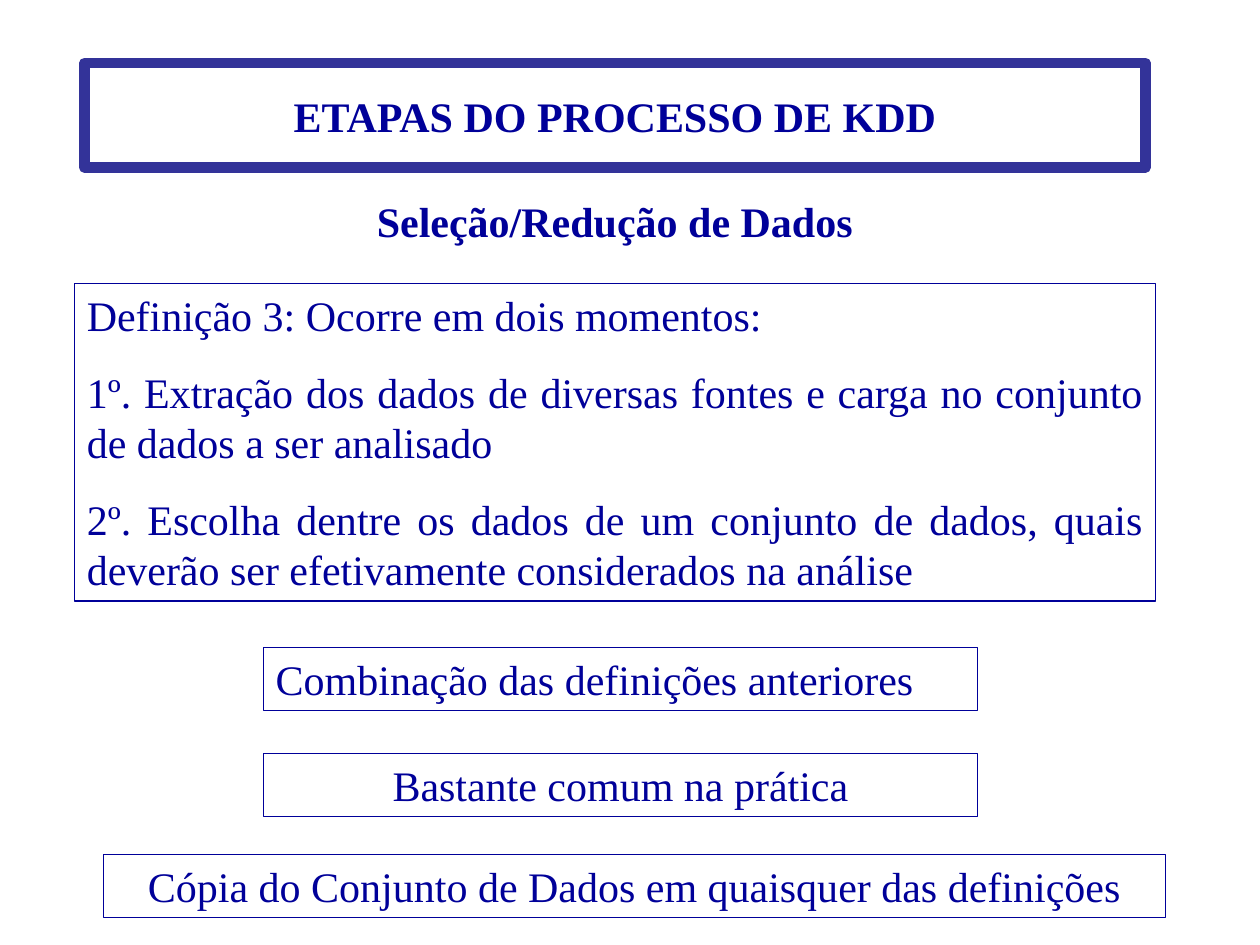
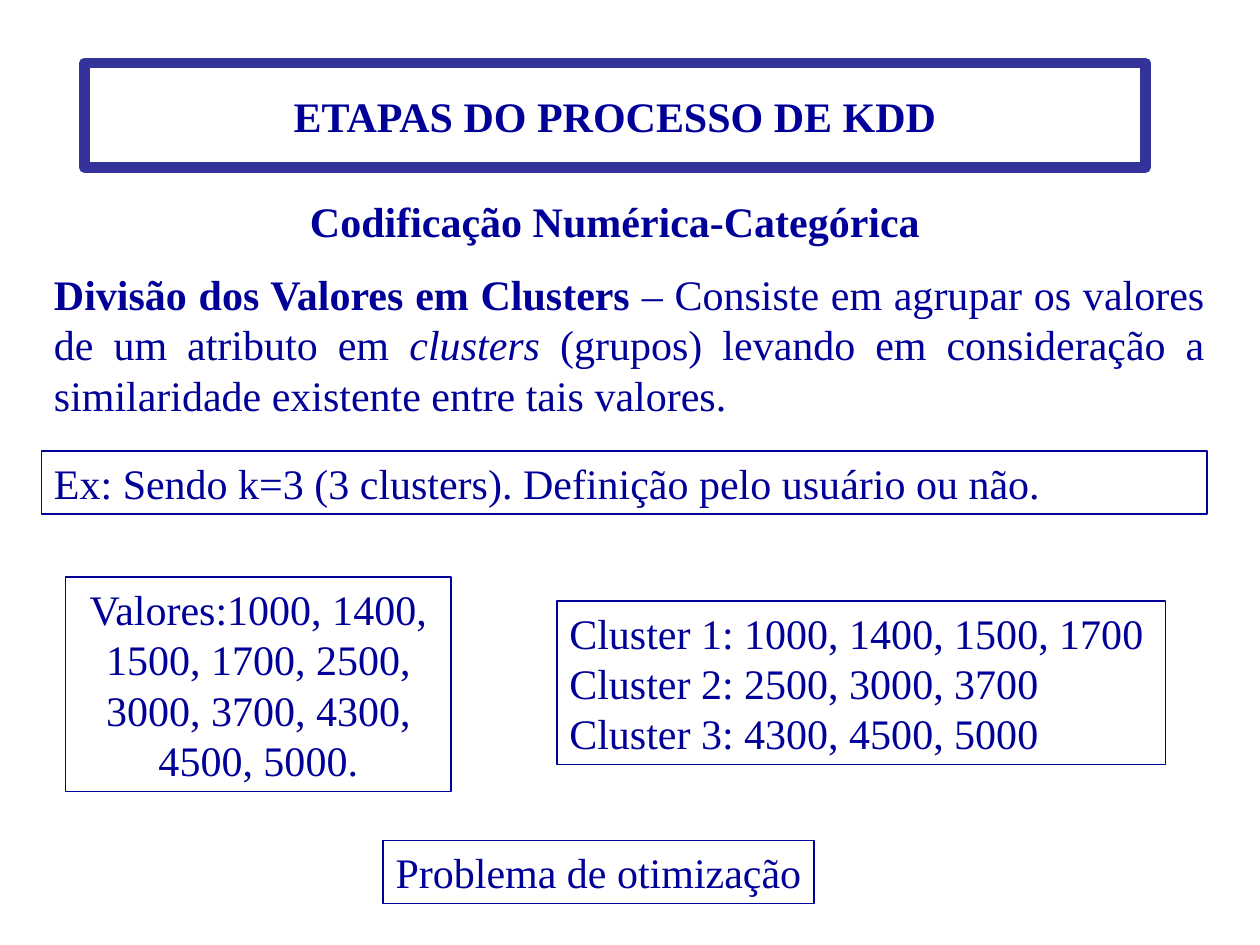
from pptx import Presentation
from pptx import util as u
from pptx.dml.color import RGBColor
from pptx.enum import shapes, text

NAVY = RGBColor(0x00, 0x00, 0x99)
FRAME_BLUE = RGBColor(0x33, 0x33, 0x99)
WHITE = RGBColor(0xFF, 0xFF, 0xFF)
FONT = "Times New Roman"
FONT_SIZE = u.Pt(24)
PARAGRAPH_GAP = u.Pt(15)
THIN, THICK = u.Pt(0.75), u.Pt(6)
LEFT = text.PP_ALIGN.LEFT
CENTER = text.PP_ALIGN.CENTER
JUSTIFY = text.PP_ALIGN.JUSTIFY
TITLE_LEFT, TITLE_WIDTH = 0.67, 8.42


def write_text(shape, content, alignment, bold=False, gap=0):
    """Write the paragraphs of a shape in the common text style."""
    frame = shape.text_frame
    frame.word_wrap = True
    frame.auto_size = text.MSO_AUTO_SIZE.SHAPE_TO_FIT_TEXT
    frame.vertical_anchor = text.MSO_ANCHOR.TOP
    frame.text = content
    for index, paragraph in enumerate(frame.paragraphs):
        paragraph.alignment = alignment
        if index and gap:
            paragraph.space_before = gap
        for run in paragraph.runs:
            run.font.name = FONT
            run.font.size = FONT_SIZE
            run.font.bold = bold
            run.font.color.rgb = NAVY
    return frame


def add_box(slide, bounds, color=NAVY, width=THIN):
    """Add an unfilled rectangle with an outline."""
    shape = slide.shapes.add_shape(
        shapes.MSO_SHAPE.RECTANGLE, *map(u.Inches, bounds))
    shape.shadow.inherit = False
    shape.fill.background()
    shape.line.color.rgb = color
    shape.line.width = width
    return shape


presentation = Presentation()
presentation.slide_width = u.Inches(10)
presentation.slide_height = u.Inches(7.5)

# Shared slide head: framed title and subtitle
slides = []
for subtitle in ("Seleção/Redução de Dados", "Codificação Numérica-Categórica"):
    slide = presentation.slides.add_slide(presentation.slide_layouts[6])
    slide.background.fill.solid()
    slide.background.fill.fore_color.rgb = WHITE

    title_box = add_box(slide, (TITLE_LEFT, 0.5, TITLE_WIDTH, 0.83), FRAME_BLUE, THICK)
    title_frame = write_text(title_box, "ETAPAS DO PROCESSO DE KDD", CENTER, bold=True)
    title_frame.auto_size = text.MSO_AUTO_SIZE.NONE
    title_frame.vertical_anchor = text.MSO_ANCHOR.MIDDLE

    subtitle_box = slide.shapes.add_textbox(
        *map(u.Inches, (TITLE_LEFT, 1.5, TITLE_WIDTH, 0.5)))
    write_text(subtitle_box, subtitle, CENTER, bold=True)
    slides.append(slide)

selection_slide, coding_slide = slides

# Slide 1: definition and remarks
definition = "\n".join((
    "Definição 3: Ocorre em dois momentos:",
    "1º. Extração dos dados de diversas fontes e carga no conjunto "
    "de dados a ser analisado",
    "2º. Escolha dentre os dados de um conjunto de dados, quais "
    "deverão ser efetivamente considerados na análise",
))
selection_boxes = (
    ((0.59, 2.25, 8.58, 2.52), definition, JUSTIFY),
    ((2.09, 5.14, 5.67, 0.5), "Combinação das definições anteriores", JUSTIFY),
    ((2.09, 5.98, 5.67, 0.5), "Bastante comum na prática", CENTER),
    ((0.82, 6.78, 8.43, 0.5),
     "Cópia do Conjunto de Dados em quaisquer das definições", CENTER),
)
for bounds, content, alignment in selection_boxes:
    write_text(add_box(selection_slide, bounds), content, alignment, gap=PARAGRAPH_GAP)

# Slide 2: explanation with a bold term and an italic word
explanation_box = coding_slide.shapes.add_textbox(
    *map(u.Inches, (0.33, 2.08, 9.33, 1.3)))
explanation_frame = write_text(
    explanation_box, "Divisão dos Valores em Clusters", JUSTIFY, bold=True)
explanation = explanation_frame.paragraphs[0]
for content, italic in (
    (" – Consiste em agrupar os valores de um atributo em ", False),
    ("clusters", True),
    (" (grupos) levando em consideração a similaridade existente "
     "entre tais valores.", False),
):
    run = explanation.add_run()
    run.text = content
    run.font.name = FONT
    run.font.size = FONT_SIZE
    run.font.bold = False
    run.font.italic = italic
    run.font.color.rgb = NAVY

# Slide 2: example values and their clusters
clusters = "\n".join((
    "Cluster 1: 1000, 1400, 1500, 1700",
    "Cluster 2: 2500, 3000, 3700",
    "Cluster 3: 4300, 4500, 5000",
))
coding_boxes = (
    ((0.52, 4.58, 3.06, 1.7),
     "Valores:1000, 1400, 1500, 1700, 2500, 3000, 3700, 4300, 4500, 5000.", CENTER),
    ((0.33, 3.58, 9.25, 0.5),
     "Ex: Sendo k=3 (3 clusters). Definição pelo usuário ou não.", JUSTIFY),
    ((4.42, 4.77, 4.83, 1.3), clusters, LEFT),
)
for bounds, content, alignment in coding_boxes:
    write_text(add_box(coding_slide, bounds), content, alignment)

# Slide 2: closing remark on a single line
remark_box = add_box(coding_slide, (3.04, 6.67, 3.42, 0.5))
write_text(remark_box, "Problema de otimização", CENTER).word_wrap = False

presentation.save("out.pptx")
